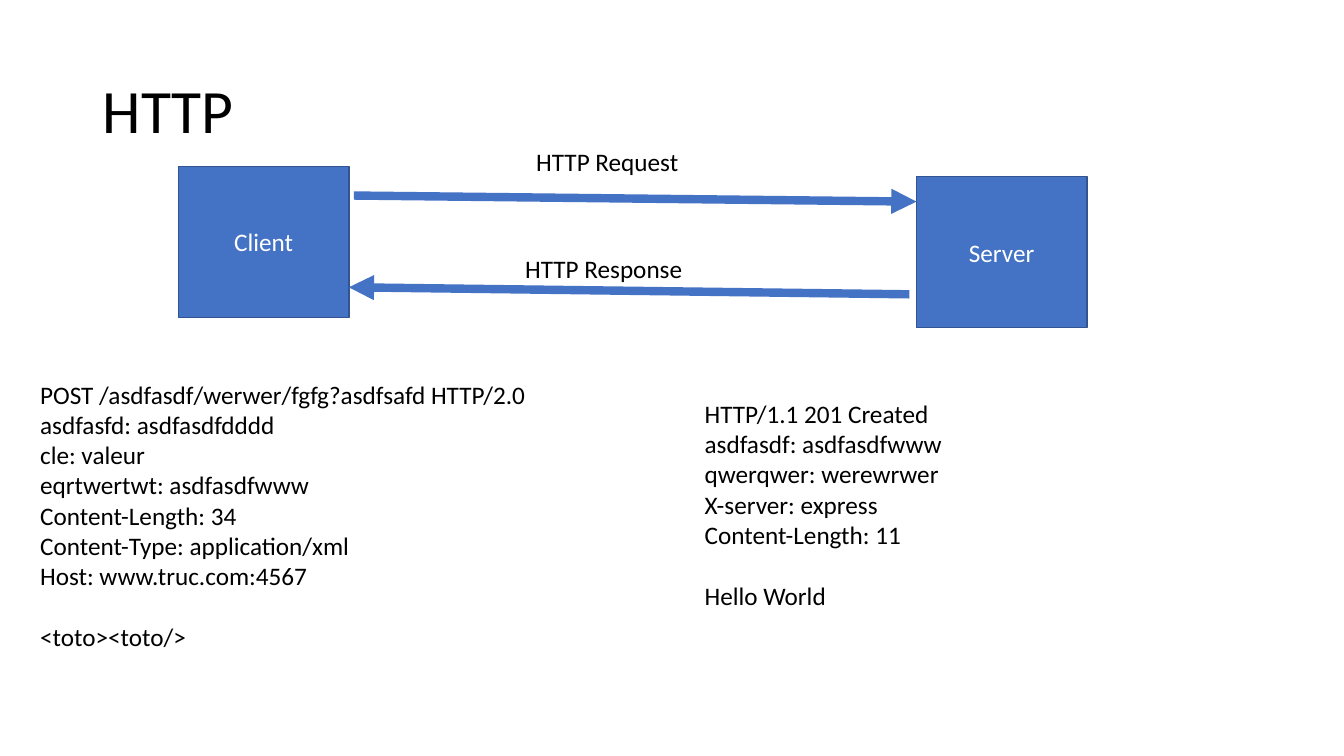
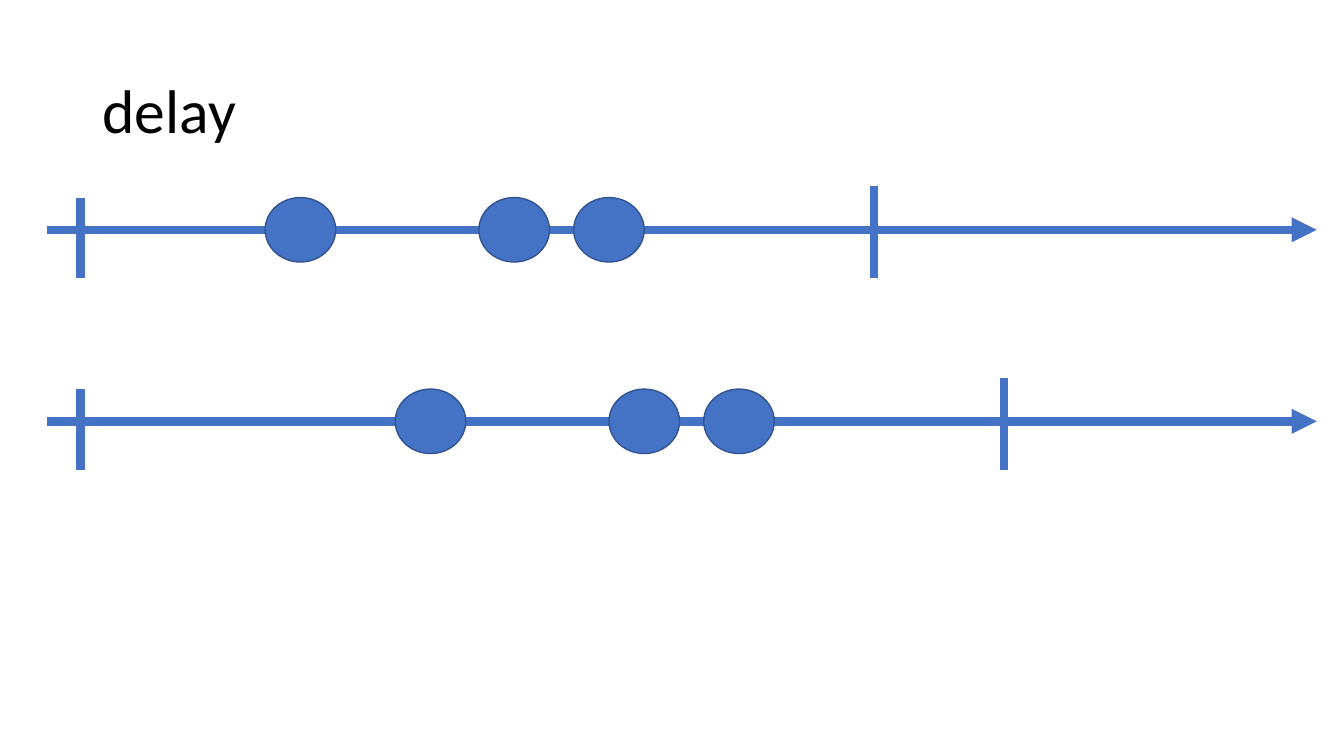
from lxml import etree
from pptx import Presentation
from pptx.dml.color import RGBColor
from pptx.enum.shapes import MSO_CONNECTOR, MSO_SHAPE
from pptx.enum.text import MSO_ANCHOR, MSO_AUTO_SIZE, PP_ALIGN
from pptx.oxml.ns import qn
from pptx.util import Emu, Pt

RECT, OVAL = MSO_SHAPE.RECTANGLE, MSO_SHAPE.OVAL
STRAIGHT = MSO_CONNECTOR.STRAIGHT
MIDDLE, CENTER, LEFT = MSO_ANCHOR.MIDDLE, PP_ALIGN.CENTER, PP_ALIGN.LEFT
GROW = MSO_AUTO_SIZE.SHAPE_TO_FIT_TEXT

# Shared style, with lengths in px at 100 to the inch
EMU_PER_PX = 9144
BLUE, EDGE, BLACK, WHITE = "4472C4", "325491", "000000", "FFFFFF"
FONT = "Calibri"
TITLE_SIZE, BODY_SIZE = 44, 18
STROKE, OUTLINE = 6, 1
TITLE_BOX = (92, 40, 1150, 145)

# HTTP exchange: hosts, messages between them, and what each message holds
HOST_SIZE = (169, 150)
HOSTS = [("Client", 177, 165), ("Server", 909, 175)]
MESSAGES = [
    ("HTTP Request", (522, 140, 163, 40), (351, 194), (909, 200)),
    ("HTTP Response", (511, 246, 178, 40), (902, 292), (346, 285)),
]
BODY_GAP = 22  # points between headers and body
PAYLOADS = [
    ((30, 371, 506, 313), [
        "POST /asdfasdf/werwer/fgfg?asdfsafd HTTP/2.0",
        "asdfasfd: asdfasdfdddd",
        "cle: valeur",
        "eqrtwertwt: asdfasdfwww",
        "Content-Length: 34",
        "Content-Type: application/xml",
        "Host: www.truc.com:4567",
    ], "<toto><toto/>"),
    ((689, 390, 258, 222), [
        "HTTP/1.1 201 Created",
        "asdfasdf: asdfasdfwww",
        "qwerqwer: werewrwer",
        "X-server: express",
        "Content-Length: 11",
    ], "Hello World"),
]

# Delay timelines: the second repeats the first, shifted in time
AXIS_START, AXIS_END = 47, 1306
START_TICK, END_TICK = 80, 867
EVENTS = [263, 475, 569]
EVENT_SIZE = (70, 64)
TIMELINES = [(228, 0), (418, 129)]  # axis height, delay
START_RISE, END_RISE, TICK_DROP = 32, 43, 48


def px(value):
    return Emu(round(value * EMU_PER_PX))


def color(hex_code):
    return RGBColor.from_string(hex_code)


def add_run(paragraph, text, size, ink):
    run = paragraph.add_run()
    run.text = text
    run.font.name, run.font.size = FONT, Pt(size)
    run.font.color.rgb = color(ink)


def add_text(slide, box, lines, size=BODY_SIZE, wrap=False):
    frame = slide.shapes.add_textbox(*map(px, box)).text_frame
    frame.word_wrap = wrap
    for i, line in enumerate(lines):
        paragraph = frame.add_paragraph() if i else frame.paragraphs[0]
        paragraph.alignment = LEFT
        add_run(paragraph, line, size, BLACK)
    if not wrap:
        frame.auto_size = GROW
    return frame


def add_blue_shape(slide, preset, box, label=None):
    shape = slide.shapes.add_shape(preset, *map(px, box))
    shape.shadow.inherit = False
    shape.fill.solid()
    shape.fill.fore_color.rgb = color(BLUE)
    shape.line.color.rgb = color(EDGE)
    shape.line.width = Pt(OUTLINE)
    if label:
        shape.text_frame.vertical_anchor = MIDDLE
        paragraph = shape.text_frame.paragraphs[0]
        paragraph.alignment = CENTER
        add_run(paragraph, label, BODY_SIZE, WHITE)


def add_line(slide, start, end, arrow=False):
    line = slide.shapes.add_connector(STRAIGHT, *map(px, start + end))
    line.line.color.rgb = color(BLUE)
    line.line.width = Pt(STROKE)
    properties = line.line._get_or_add_ln().getparent()
    if arrow:
        etree.SubElement(properties.find(qn("a:ln")), qn("a:tailEnd"), type="triangle")
    etree.SubElement(properties, qn("a:effectLst"))


def add_slide(deck, title):
    slide = deck.slides.add_slide(deck.slide_layouts[6])
    frame = add_text(slide, TITLE_BOX, [title], TITLE_SIZE, wrap=True)
    frame.vertical_anchor = MIDDLE
    frame.paragraphs[0].line_spacing = 0.9
    return slide


def build_http(deck):
    slide = add_slide(deck, "HTTP")
    for name, left, top in HOSTS:
        add_blue_shape(slide, RECT, (left, top, *HOST_SIZE), name)
    for label, label_box, start, end in MESSAGES:
        add_line(slide, start, end, arrow=True)
        add_text(slide, label_box, [label])
    for box, headers, body in PAYLOADS:
        frame = add_text(slide, box, headers + [body])
        frame.paragraphs[-1].space_before = Pt(BODY_GAP)


def build_delay(deck):
    slide = add_slide(deck, "delay")
    for axis, delay in TIMELINES:
        add_line(slide, (AXIS_START, axis), (AXIS_END, axis), arrow=True)
        for x, rise in [(START_TICK, START_RISE), (END_TICK + delay, END_RISE)]:
            add_line(slide, (x, axis - rise), (x, axis + TICK_DROP))
        for left in EVENTS:
            top = axis - EVENT_SIZE[1] / 2
            add_blue_shape(slide, OVAL, (left + delay, top, *EVENT_SIZE))


def main():
    deck = Presentation()
    deck.slide_width, deck.slide_height = px(1333), px(750)
    build_http(deck)
    build_delay(deck)
    deck.save("out.pptx")


if __name__ == "__main__":
    main()
